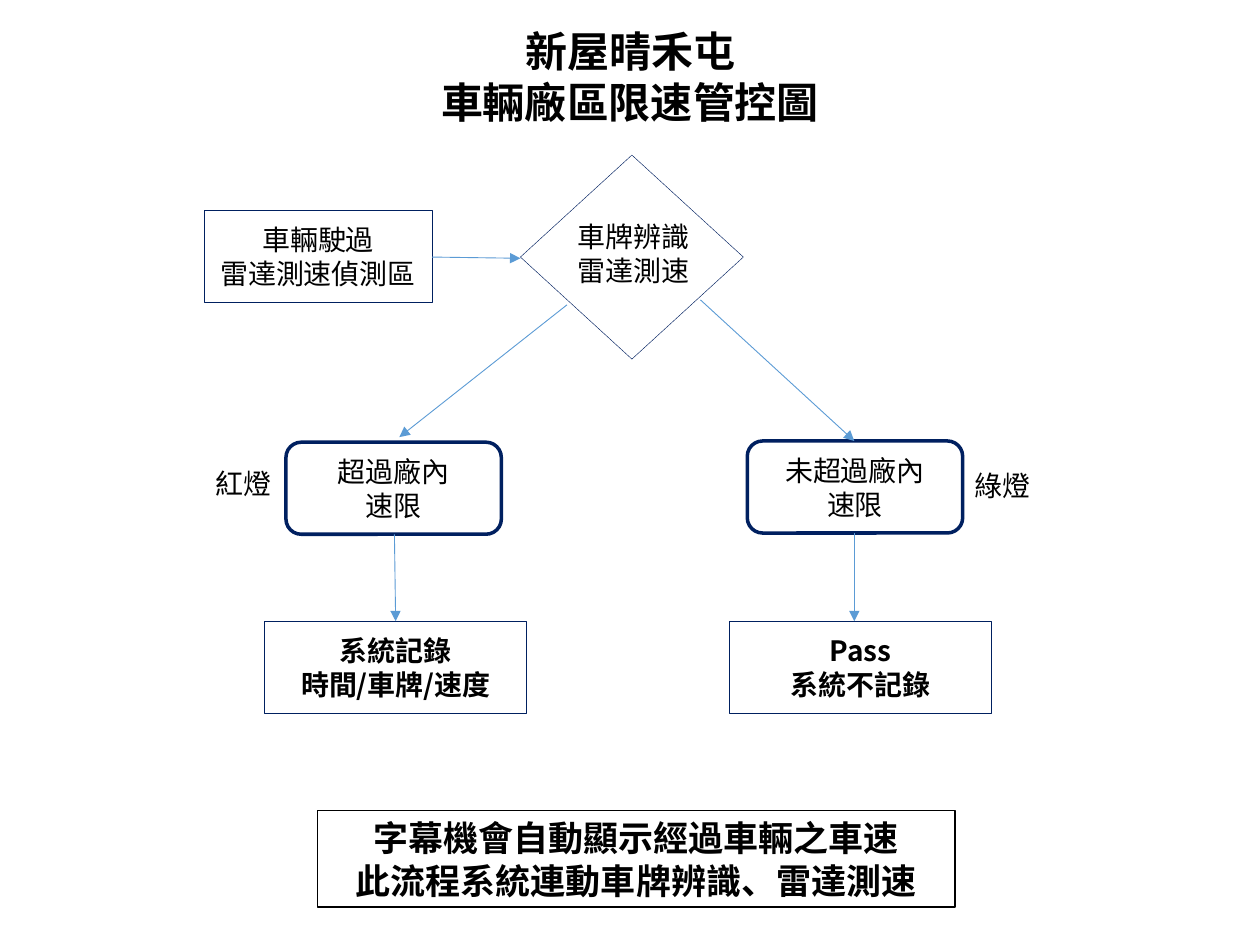
from pptx import Presentation
from pptx.dml.color import RGBColor
from pptx.enum.shapes import MSO_CONNECTOR, MSO_SHAPE
from pptx.enum.text import MSO_ANCHOR, MSO_AUTO_SIZE, PP_ALIGN
from pptx.oxml.ns import qn
from pptx.util import Pt
from lxml import etree

RECT, ROUNDED, DIAMOND = MSO_SHAPE.RECTANGLE, MSO_SHAPE.ROUNDED_RECTANGLE, MSO_SHAPE.DIAMOND
STRAIGHT = MSO_CONNECTOR.STRAIGHT
TOP, MIDDLE = MSO_ANCHOR.TOP, MSO_ANCHOR.MIDDLE
LEFT, CENTER = PP_ALIGN.LEFT, PP_ALIGN.CENTER
NO_AUTOFIT = MSO_AUTO_SIZE.NONE


def color(hex_text):
    return RGBColor.from_string(hex_text)


class FlowSlide:
    """Holds the style and the slide; every length is in points."""

    font = "Noto Sans CJK SC"
    ink, navy, blue = "000000", "002060", "5B9BD5"
    line_pitch = 1.21

    def __init__(self, slide):
        self.slide = slide

    def set_text(self, shape, lines, size=16, bold=False, align=CENTER, anchor=TOP):
        frame = shape.text_frame
        frame.word_wrap = True
        frame.auto_size = NO_AUTOFIT
        frame.vertical_anchor = anchor
        frame.margin_left = frame.margin_right = Pt(7.2)
        frame.margin_top = frame.margin_bottom = Pt(3.6)
        for index, line in enumerate(lines):
            para = frame.add_paragraph() if index else frame.paragraphs[0]
            para.text = line
            para.alignment = align
            para.space_before = Pt(0)
            para.line_spacing = Pt(size * self.line_pitch)
            font = para.font
            font.size, font.bold, font.name = Pt(size), bold, self.font
            font.color.rgb = color(self.ink)
            properties = para._p.pPr.find(qn("a:defRPr"))
            etree.SubElement(properties, qn("a:ea"), typeface=self.font)

    def title(self, left, top, width, height, lines):
        box = self.slide.shapes.title
        box.left, box.top, box.width, box.height = map(Pt, (left, top, width, height))
        self.set_text(box, lines, size=24, bold=True)

    def label(self, left, top, width, height, lines, align=CENTER):
        box = self.slide.shapes.add_textbox(*map(Pt, (left, top, width, height)))
        self.set_text(box, lines, align=align)

    def node(self, kind, left, top, width, height, lines=(), line=navy, weight=0.25, **text_style):
        shape = self.slide.shapes.add_shape(kind, *map(Pt, (left, top, width, height)))
        shape.shadow.inherit = False
        shape.fill.background()
        shape.line.color.rgb = color(line)
        shape.line.width = Pt(weight)
        if lines:
            self.set_text(shape, lines, **text_style)

    def arrow(self, *ends):
        connector = self.slide.shapes.add_connector(STRAIGHT, *map(Pt, ends))
        connector.line.color.rgb = color(self.blue)
        connector.line.width = Pt(0.5)
        properties = connector._element.spPr
        etree.SubElement(properties.find(qn("a:ln")), qn("a:tailEnd"), type="triangle")
        etree.SubElement(properties, qn("a:effectLst"))


def main():
    deck = Presentation()
    deck.slide_width, deck.slide_height = Pt(720), Pt(540)
    page = FlowSlide(deck.slides.add_slide(deck.slide_layouts[5]))

    page.title(209.5, 10.8, 301, 65.5, ["新屋晴禾屯", "車輛廠區限速管控圖"])

    page.node(RECT, 116.6, 120.2, 130.3, 52.6, ["車輛駛過", "雷達測速偵測區"], anchor=MIDDLE)
    page.node(DIAMOND, 297.4, 88.6, 127.4, 116.6)
    page.label(309.6, 121.7, 105, 65.5, ["車牌辨識", "雷達測速"])

    branches = [
        (163.4, 252.7, ["超過廠內", "速限"], 151.2, ["系統記錄", "時間/車牌/速度"]),
        (427, 252, ["未超過廠內", "速限"], 416.9, ["Pass", "系統不記錄"]),
    ]
    for check_left, check_top, check, result_left, result in branches:
        page.node(ROUNDED, check_left, check_top, 123.1, 52.6, check, weight=2, anchor=MIDDLE)
        page.node(RECT, result_left, 355, 149.8, 52.6, result, bold=True, anchor=MIDDLE)

    page.label(116, 262.8, 62, 26.6, ["紅燈"], align=LEFT)
    page.label(550, 264.2, 62, 26.6, ["綠燈"], align=LEFT)

    for ends in [
        (247, 146.9, 297.4, 147.6),
        (324, 174.2, 228.2, 249.8),
        (400.3, 171.4, 488.2, 252),
        (225.4, 305.3, 226.1, 355),
        (488.2, 304.6, 488.2, 355),
    ]:
        page.arrow(*ends)

    page.node(RECT, 181.4, 463, 364.3, 55.4,
              ["字幕機會自動顯示經過車輛之車速", "此流程系統連動車牌辨識、雷達測速"],
              line=page.ink, weight=0.75, size=20, bold=True)

    deck.save("out.pptx")


if __name__ == "__main__":
    main()
